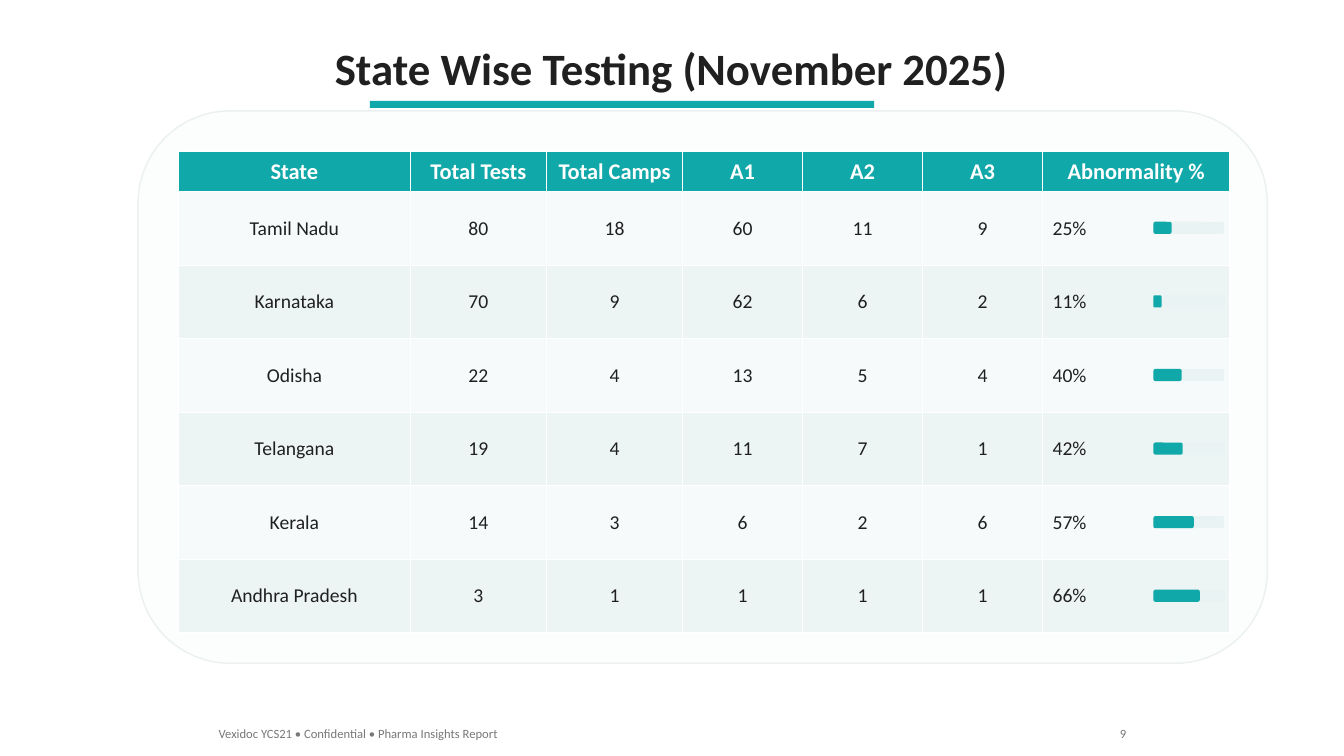
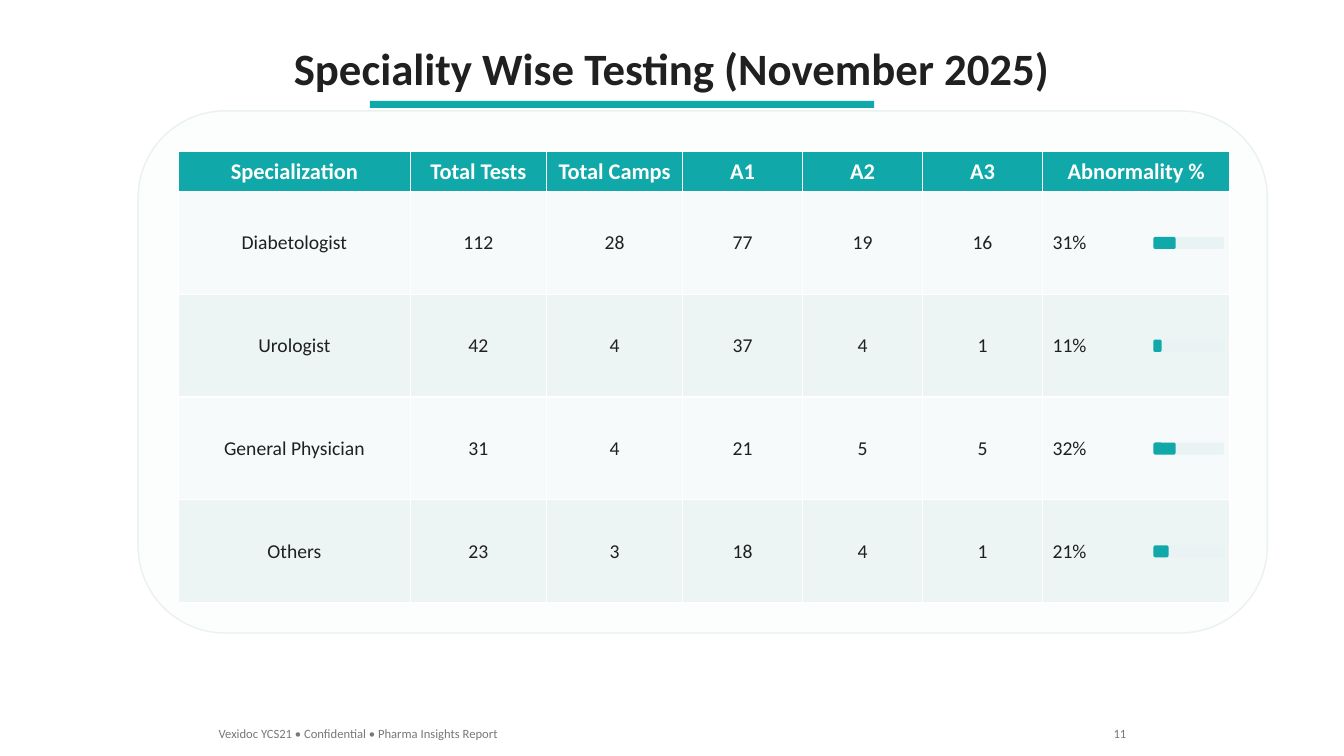
"""Builds two testing-summary slides, each with a table and abnormality bars."""
import pptx
import pptx.dml.color
import pptx.enum.shapes
import pptx.enum.text
import pptx.util


class Theme:
    font = "Calibri"
    teal = "10A8A8"
    ink = "202020"
    white = "FFFFFF"
    muted = "787878"
    panel = "FCFDFD"
    panel_line = "EBF0F0"
    track = "EAF3F3"
    bands = ("F6FAFA", "ECF4F4")
    title_size = 32
    header_size = 16
    body_size = 14
    footer_size = 9


PX = 9144
SLIDE_WIDTH, SLIDE_HEIGHT = 1333, 750
PANEL_LEFT, PANEL_TOP, PANEL_WIDTH = 137, 110, 1120
PANEL_BOTTOM_MARGIN = 30
TABLE_LEFT, TABLE_TOP = 177, 150
COLUMN_WIDTHS = (230, 135, 135, 119, 119, 119, 186)
HEADER_HEIGHT = 40
BAR_LEFT, BAR_WIDTH, BAR_HEIGHT = 1144, 70, 12
FOOTER_TOP, FOOTER_HEIGHT, FOOTER_RIGHT = 715, 25, 1127
FOOTER = "Vexidoc YCS21 • Confidential • Pharma Insights Report"
HEADINGS = ("Total Tests", "Total Camps", "A1", "A2", "A3", "Abnormality %")

SLIDES = (
    {
        "title": "State Wise Testing (November 2025)",
        "title_width": 694,
        "category": "State",
        "row_height": 73,
        "page": "9",
        "page_width": 27,
        "rows": (
            ("Tamil Nadu", 80, 18, 60, 11, 9, 25),
            ("Karnataka", 70, 9, 62, 6, 2, 11),
            ("Odisha", 22, 4, 13, 5, 4, 40),
            ("Telangana", 19, 4, 11, 7, 1, 42),
            ("Kerala", 14, 3, 6, 2, 6, 57),
            ("Andhra Pradesh", 3, 1, 1, 1, 1, 66),
        ),
    },
    {
        "title": "Speciality Wise Testing (November 2025)",
        "title_width": 777,
        "category": "Specialization",
        "row_height": 102,
        "page": "11",
        "page_width": 33,
        "rows": (
            ("Diabetologist", 112, 28, 77, 19, 16, 31),
            ("Urologist", 42, 4, 37, 4, 1, 11),
            ("General Physician", 31, 4, 21, 5, 5, 32),
            ("Others", 23, 3, 18, 4, 1, 21),
        ),
    },
)

RGB = pptx.dml.color.RGBColor.from_string
ALIGN = pptx.enum.text.PP_ALIGN
SHAPE = pptx.enum.shapes.MSO_SHAPE


def write(text_frame, text, size, color, align, bold=False):
    text_frame.text = text
    paragraph = text_frame.paragraphs[0]
    paragraph.alignment = align
    font = paragraph.runs[0].font
    font.name = Theme.font
    font.size = pptx.util.Pt(size)
    font.bold = bold
    font.color.rgb = RGB(color)


def add_block(slide, preset, box, fill, line=None):
    shape = slide.shapes.add_shape(preset, *(length * PX for length in box))
    shape.shadow.inherit = False
    shape.fill.solid()
    shape.fill.fore_color.rgb = RGB(fill)
    if line:
        shape.line.color.rgb = RGB(line)
        shape.line.width = pptx.util.Pt(1)
    else:
        shape.line.fill.background()


presentation = pptx.Presentation()
presentation.slide_width = SLIDE_WIDTH * PX
presentation.slide_height = SLIDE_HEIGHT * PX

for content in SLIDES:
    slide = presentation.slides.add_slide(presentation.slide_layouts[6])
    rows = content["rows"]
    row_height = content["row_height"]
    table_height = HEADER_HEIGHT + row_height * len(rows)
    panel_height = TABLE_TOP + table_height + PANEL_BOTTOM_MARGIN - PANEL_TOP
    title_width = content["title_width"]
    page_width = content["page_width"]

    labels = (
        (content["title"], ((SLIDE_WIDTH - title_width) // 2, 35, title_width, 64),
         Theme.title_size, Theme.ink, ALIGN.CENTER, True),
        (FOOTER, (207, FOOTER_TOP, 305, FOOTER_HEIGHT),
         Theme.footer_size, Theme.muted, ALIGN.LEFT, False),
        (content["page"], (FOOTER_RIGHT - page_width, FOOTER_TOP, page_width, FOOTER_HEIGHT),
         Theme.footer_size, Theme.muted, ALIGN.RIGHT, False),
    )
    for text, box, size, color, align, bold in labels:
        textbox = slide.shapes.add_textbox(*(length * PX for length in box))
        write(textbox.text_frame, text, size, color, align, bold)
        textbox.text_frame.word_wrap = False
        textbox.text_frame.auto_size = pptx.enum.text.MSO_AUTO_SIZE.SHAPE_TO_FIT_TEXT

    add_block(slide, SHAPE.RECTANGLE, (367, 100, 500, 7), Theme.teal)
    add_block(slide, SHAPE.ROUNDED_RECTANGLE,
              (PANEL_LEFT, PANEL_TOP, PANEL_WIDTH, panel_height), Theme.panel, Theme.panel_line)

    table = slide.shapes.add_table(
        len(rows) + 1, len(COLUMN_WIDTHS), TABLE_LEFT * PX, TABLE_TOP * PX,
        sum(COLUMN_WIDTHS) * PX, table_height * PX).table
    table.horz_banding = False
    for column, width in zip(table.columns, COLUMN_WIDTHS):
        column.width = width * PX

    for row_index, values in enumerate(((content["category"], *HEADINGS), *rows)):
        is_header = row_index == 0
        table.rows[row_index].height = (HEADER_HEIGHT if is_header else row_height) * PX
        for column_index, value in enumerate(values):
            cell = table.cell(row_index, column_index)
            cell.vertical_anchor = pptx.enum.text.MSO_ANCHOR.MIDDLE
            cell.fill.solid()
            if is_header:
                cell.fill.fore_color.rgb = RGB(Theme.teal)
                write(cell.text_frame, value, Theme.header_size, Theme.white, ALIGN.CENTER, True)
            else:
                is_percent = column_index == len(values) - 1
                cell.fill.fore_color.rgb = RGB(Theme.bands[(row_index - 1) % 2])
                write(cell.text_frame, f"{value}%" if is_percent else str(value),
                      Theme.body_size, Theme.ink, ALIGN.LEFT if is_percent else ALIGN.CENTER)

    for row_index, values in enumerate(rows):
        row_top = TABLE_TOP + HEADER_HEIGHT + row_index * row_height
        bar_top = row_top + (row_height - BAR_HEIGHT) // 2
        filled_width = round(BAR_WIDTH * values[-1] / 100)
        for width, color in ((BAR_WIDTH, Theme.track), (filled_width, Theme.teal)):
            add_block(slide, SHAPE.ROUNDED_RECTANGLE,
                      (BAR_LEFT, bar_top, width, BAR_HEIGHT), color)

presentation.save("out.pptx")
